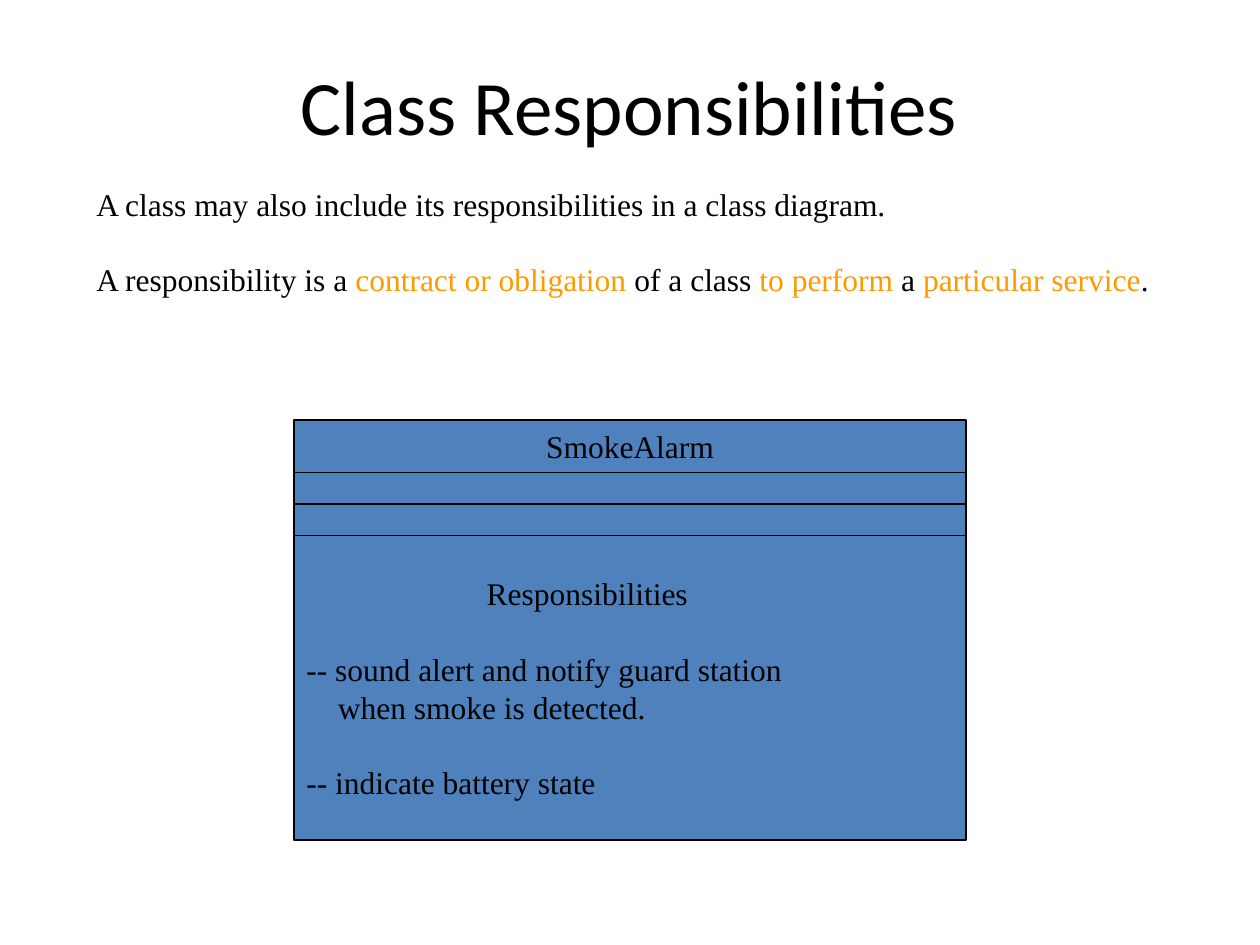
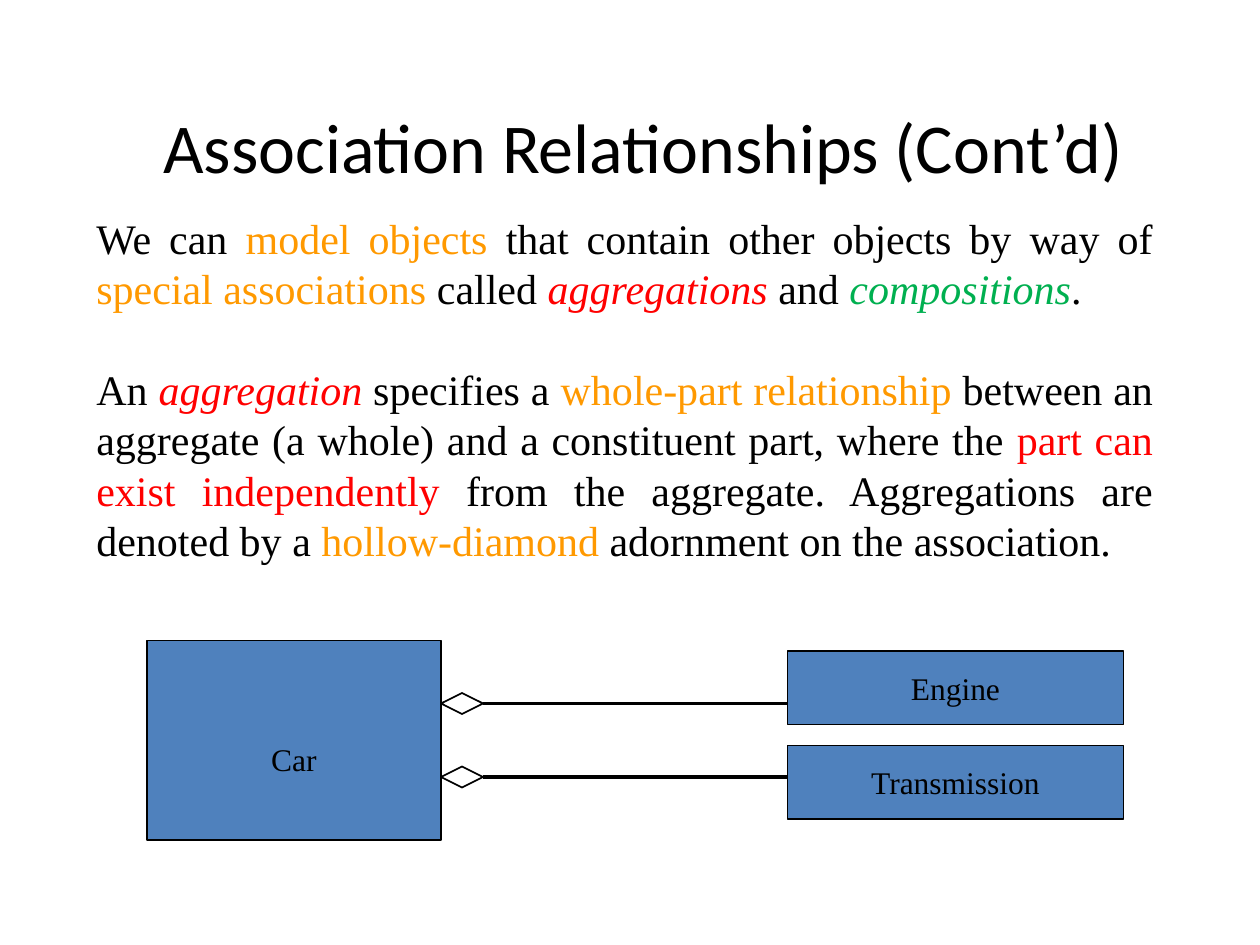
import pptx
import pptx.util
import pptx.dml.color
import pptx.enum.shapes
import pptx.enum.text
import pptx.oxml

Pt = pptx.util.Pt
ALIGN = pptx.enum.text.PP_ALIGN
SHAPE = pptx.enum.shapes.MSO_SHAPE

BLACK, WHITE, BLUE = "000000", "FFFFFF", "4F81BD"
ORANGE, RED, GREEN = "FF9900", "FF0000", "00B050"
SERIF = "Times New Roman"

# Text runs: (words, colour, italic); a plain string is black and upright.
RESPONSIBILITY_TEXT = [
    ["A class may also include its responsibilities in a class diagram."],
    ["A responsibility is a ", ("contract or obligation ", ORANGE, False),
     "of a class ", ("to perform ", ORANGE, False), "a ",
     ("particular service", ORANGE, False), "."],
]
AGGREGATION_TEXT = [
    ["We can ", ("model objects", ORANGE, False),
     " that contain other objects by way of ",
     ("special associations ", ORANGE, False), "called ",
     ("aggregations", RED, True), " and ", ("compositions", GREEN, True), "."],
    ["An ", ("aggregation", RED, True), " specifies a ",
     ("whole-part relationship ", ORANGE, False),
     "between an aggregate (a whole) and a constituent part, where the ",
     ("part can exist independently", RED, False),
     " from the aggregate. Aggregations are denoted by a ",
     ("hollow-diamond", ORANGE, False), " adornment on the association."],
]
CLASS_NAME = "SmokeAlarm"
# (words, left indent, starts after a blank line's gap)
RESPONSIBILITIES = [
    ("Responsibilities", 103, False),
    ("-- sound alert and notify guard station", 0, True),
    ("when smoke is detected.", 18, False),
    ("-- indicate battery state", 0, True),
]
WHOLE = "Car"
# (name, box top, height of its association line)
PARTS = [("Engine", 372, 402), ("Transmission", 426, 444)]

LINE_PITCH = 1.2  # line height per point of text size


def rgb(value):
    return pptx.dml.color.RGBColor.from_string(value)


def format_object(target, **values):
    for name, value in values.items():
        setattr(target, name, value)


def write(paragraph, runs, size, font=SERIF):
    for part in runs:
        words, colour, italic = (part, BLACK, False) if isinstance(part, str) else part
        run = paragraph.add_run()
        run.text = words
        format_object(run.font, name=font, size=Pt(size), italic=italic)
        run.font.color.rgb = rgb(colour)


def new_slide(deck, title, size, left, top, width, height):
    slide = deck.slides.add_slide(deck.slide_layouts[5])
    heading = slide.shapes.title
    format_object(heading, left=Pt(left), top=Pt(top), width=Pt(width), height=Pt(height))
    format_object(heading.text_frame, word_wrap=True,
                  auto_size=pptx.enum.text.MSO_AUTO_SIZE.NONE,
                  vertical_anchor=pptx.enum.text.MSO_ANCHOR.MIDDLE)
    paragraph = heading.text_frame.paragraphs[0]
    paragraph.alignment = ALIGN.CENTER
    write(paragraph, [title], size, "Calibri")
    return slide


def add_body(slide, paragraphs, size, top, width, height):
    """Justified paragraphs, one line apart."""
    frame = slide.shapes.add_textbox(Pt(48), Pt(top), Pt(width), Pt(height)).text_frame
    frame.word_wrap = True
    for index, runs in enumerate(paragraphs):
        paragraph = frame.add_paragraph() if index else frame.paragraphs[0]
        format_object(paragraph, alignment=ALIGN.JUSTIFY,
                      space_before=Pt(LINE_PITCH * size if index else 0))
        write(paragraph, runs, size)


def add_figure(slide, kind, left, top, width, height, fill=BLUE, line=0.75):
    figure = slide.shapes.add_shape(kind, Pt(left), Pt(top), Pt(width), Pt(height))
    figure.shadow.inherit = False
    figure.fill.solid()
    figure.fill.fore_color.rgb = rgb(fill)
    figure.line.color.rgb = rgb(BLACK)
    figure.line.width = Pt(line)
    return figure


def add_box(slide, left, top, width, height, name="", drop=0):
    """A class box; drop lowers the top of its text area."""
    box = add_figure(slide, SHAPE.RECTANGLE, left, top, width, height)
    format_object(box.text_frame, word_wrap=True, margin_top=Pt(3.6 + drop),
                  vertical_anchor=pptx.enum.text.MSO_ANCHOR.MIDDLE)
    if name:
        paragraph = box.text_frame.paragraphs[0]
        paragraph.alignment = ALIGN.CENTER
        write(paragraph, [name], 18)
    return box


def add_association(slide, start, end, y):
    """A line with a hollow diamond at the whole's side."""
    width, height = 24, 12
    line = slide.shapes.add_connector(pptx.enum.shapes.MSO_CONNECTOR.STRAIGHT,
                                      Pt(start + width), Pt(y), Pt(end), Pt(y))
    line.line.color.rgb = rgb(BLACK)
    line.line.width = Pt(2.25)
    properties = line._element.spPr
    properties.append(properties.makeelement(pptx.oxml.ns.qn("a:effectLst"), {}))
    add_figure(slide, SHAPE.DIAMOND, start, y - height / 2, width, height, WHITE, 1)


def build_responsibilities(deck):
    slide = new_slide(deck, "Class Responsibilities", 44, 52.5, 24, 614, 72)
    add_body(slide, RESPONSIBILITY_TEXT, 18, 102, 630, 72)

    left, top, width = 168, 240, 384
    boxes = []
    for name, height in [(CLASS_NAME, 30), ("", 18), ("", 18), ("", 174)]:
        boxes.append(add_box(slide, left, top, width, height, name))
        top += height
    frame = boxes[-1].text_frame
    for index, (words, indent, gap) in enumerate(RESPONSIBILITIES):
        paragraph = frame.add_paragraph() if index else frame.paragraphs[0]
        format_object(paragraph, alignment=ALIGN.LEFT,
                      space_before=Pt(LINE_PITCH * 18 if gap else 0))
        paragraph._p.get_or_add_pPr().set("marL", str(Pt(indent)))
        write(paragraph, [words], 18)


def build_aggregation(deck):
    slide = new_slide(deck, "Association Relationships (Cont’d)", 40, 66, 66, 603, 34)
    add_body(slide, AGGREGATION_TEXT, 24, 117.6, 618, 209)

    whole_left, whole_width, part_left = 84, 168, 450
    add_box(slide, whole_left, 366, whole_width, 114, WHOLE, drop=LINE_PITCH * 18)
    for name, top, line_y in PARTS:
        add_association(slide, whole_left + whole_width, part_left, line_y)
        add_box(slide, part_left, top, 192, 42, name)


def main():
    deck = pptx.Presentation()
    format_object(deck, slide_width=Pt(720), slide_height=Pt(540))
    build_responsibilities(deck)
    build_aggregation(deck)
    deck.save("out.pptx")


if __name__ == "__main__":
    main()
